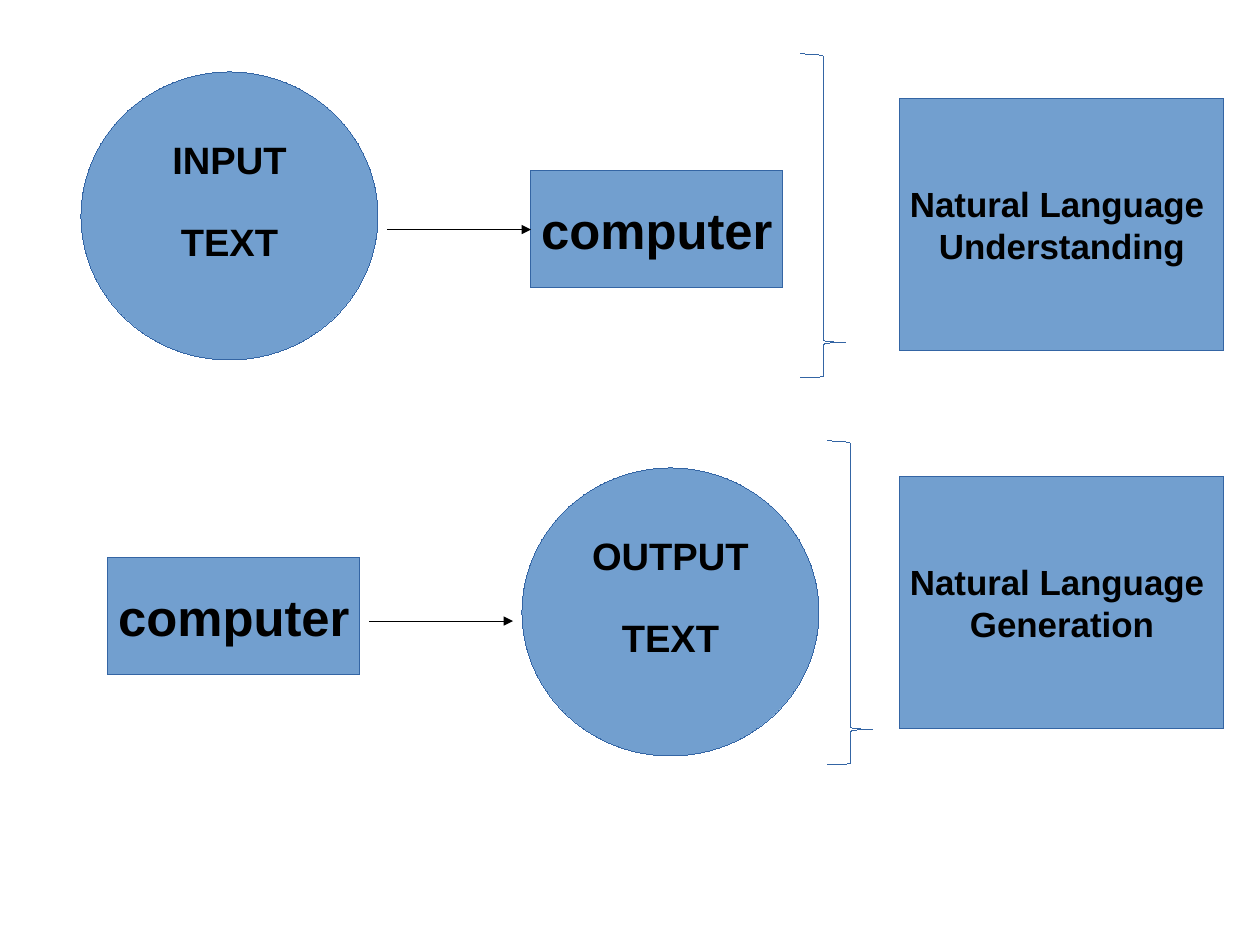
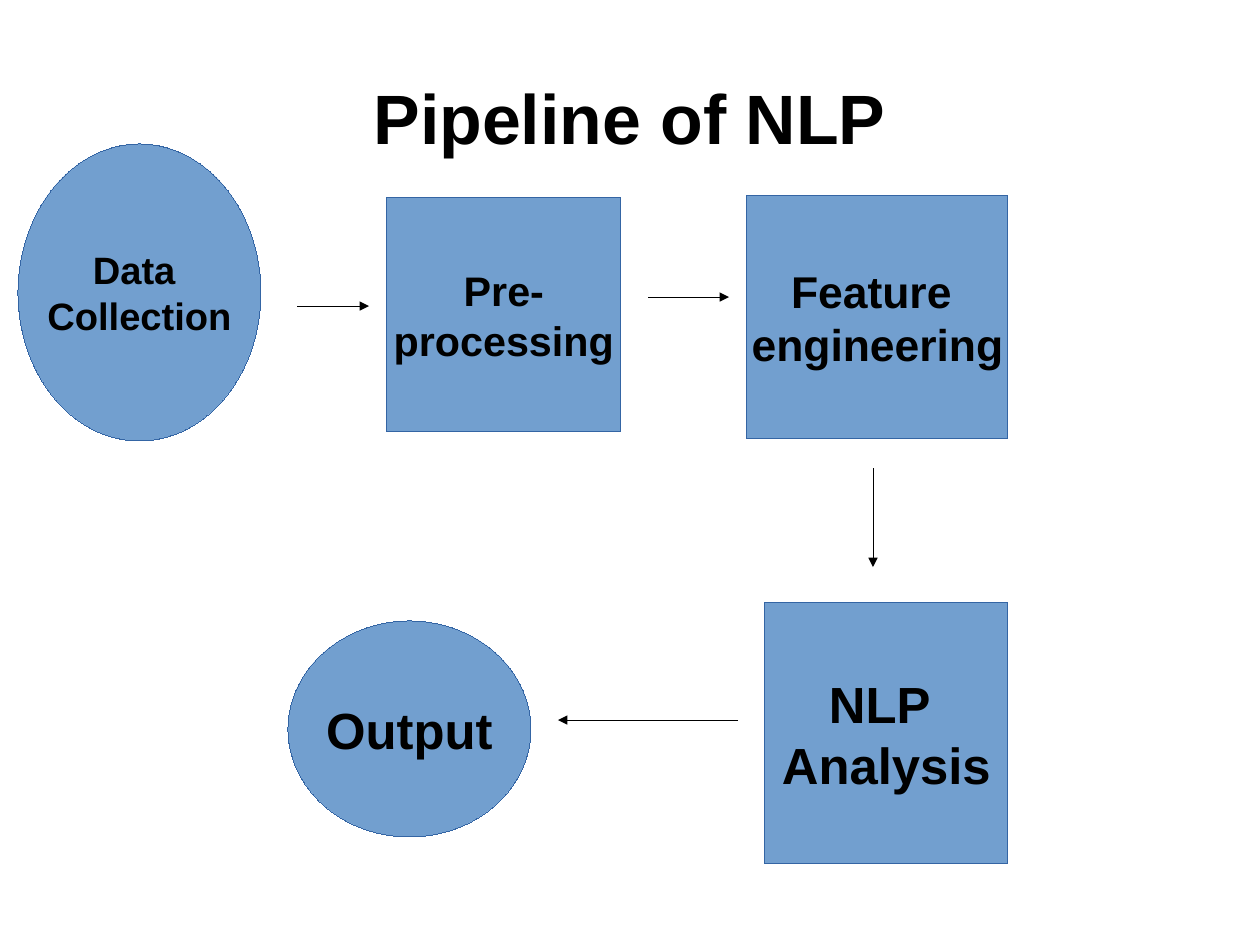
from dataclasses import dataclass

from lxml import etree
from pptx import Presentation
from pptx.dml.color import RGBColor
from pptx.enum.shapes import MSO_CONNECTOR, MSO_SHAPE
from pptx.enum.text import MSO_ANCHOR, MSO_AUTO_SIZE, PP_ALIGN
from pptx.oxml.ns import qn
from pptx.util import Mm, Pt

RECTANGLE = MSO_SHAPE.RECTANGLE
ELLIPSE = MSO_SHAPE.OVAL
BRACE = MSO_SHAPE.RIGHT_BRACE
STRAIGHT = MSO_CONNECTOR.STRAIGHT
MIDDLE = MSO_ANCHOR.MIDDLE
CENTER = PP_ALIGN.CENTER
NO_AUTOFIT = MSO_AUTO_SIZE.NONE

CELL = 2
COLUMNS, ROWS = 140, 105
TITLE_ONLY, BLANK = 5, 6
LEFT_SIDE = 1


@dataclass(frozen=True)
class Theme:
    font: str = "Arial"
    ink: RGBColor = RGBColor(0, 0, 0)
    fill: RGBColor = RGBColor(0x72, 0x9F, 0xCF)
    outline: RGBColor = RGBColor(0x34, 0x65, 0xA4)
    title: int = 44
    large: int = 32
    feature: int = 28
    step: int = 26
    medium: int = 24
    small: int = 22
    word_gap: int = 23


THEME = Theme()


def grid(*cells):
    return [Mm(cell * CELL) for cell in cells]


def drop_style(item):
    item._element.remove(item._element.find(qn("p:style")))


def write_text(frame, text, size, gap=0, wrap=False):
    frame.word_wrap = wrap
    frame.auto_size = NO_AUTOFIT
    frame.vertical_anchor = MIDDLE
    for index, line in enumerate(text.split("\n")):
        para = frame.add_paragraph() if index else frame.paragraphs[0]
        para.alignment = CENTER
        para.space_before = Pt(gap if index else 0)
        span = para.add_run()
        span.text = line
        span.font.name = THEME.font
        span.font.size = Pt(size)
        span.font.bold = True
        span.font.color.rgb = THEME.ink


def add_outlined(page, kind, area):
    shape = page.shapes.add_shape(kind, *grid(*area))
    drop_style(shape)
    shape.shadow.inherit = False
    shape.line.color.rgb = THEME.outline
    return shape


def add_node(page, kind, area, text, size, gap=0):
    node = add_outlined(page, kind, area)
    node.fill.solid()
    node.fill.fore_color.rgb = THEME.fill
    write_text(node.text_frame, text, size, gap)
    return node


def add_text_circle(page, left, top, text):
    circle = add_node(page, ELLIPSE, (left, top, 33, 32), text,
                      THEME.medium, THEME.word_gap)
    circle.text_frame.margin_bottom = Pt(THEME.word_gap)


def add_computer(page, left, top):
    return add_node(page, RECTANGLE, (left, top, 28, 13), "computer", THEME.large)


def add_task(page, brace_left, brace_top, box_top, text):
    brace = add_outlined(page, BRACE, (brace_left, brace_top, 5, 36))
    brace.fill.background()
    brace.adjustments[0] = 0.05
    brace.adjustments[1] = 0.89
    add_node(page, RECTANGLE, (100, box_top, 36, 28), text, THEME.small)


def add_arrow(page, start, end, target=None):
    arrow = page.shapes.add_connector(STRAIGHT, *grid(*start, *end))
    drop_style(arrow)
    arrow.line.color.rgb = THEME.ink
    line = arrow.line._get_or_add_ln()
    etree.SubElement(line, qn("a:tailEnd"), type="triangle")
    etree.SubElement(arrow._element.spPr, qn("a:effectLst"))
    if target is not None:
        arrow.end_connect(target, LEFT_SIDE)


def add_title(page, text):
    title = page.shapes.title
    title.left, title.top, title.width, title.height = grid(7, 4.2, 126, 17.5)
    frame = title.text_frame
    frame.margin_left = frame.margin_right = 0
    frame.margin_top = frame.margin_bottom = 0
    write_text(frame, text, THEME.title, wrap=True)


def build_tasks(deck):
    page = deck.slides.add_slide(deck.slide_layouts[BLANK])

    add_text_circle(page, 9, 8, "INPUT\nTEXT")
    computer = add_computer(page, 59, 19)
    add_arrow(page, (43, 25.5), (59, 25.5), computer)
    add_task(page, 89, 6, 11, "Natural Language \nUnderstanding")

    add_computer(page, 12, 62)
    add_arrow(page, (41, 69), (57, 69))
    add_text_circle(page, 58, 52, "OUTPUT\nTEXT")
    add_task(page, 92, 49, 53, "Natural Language \nGeneration")


def build_pipeline(deck):
    page = deck.slides.add_slide(deck.slide_layouts[TITLE_ONLY])
    add_title(page, "Pipeline of NLP")
    steps = [
        (RECTANGLE, (43, 22, 26, 26), "Pre-\nprocessing", THEME.step),
        (RECTANGLE, (83, 21.75, 29, 27), "Feature \nengineering", THEME.feature),
        (ELLIPSE, (2, 16, 27, 33), "Data \nCollection", THEME.medium),
        (RECTANGLE, (85, 67, 27, 29), "NLP \nAnalysis", THEME.large),
        (ELLIPSE, (32, 69, 27, 24), "Output", THEME.large),
    ]
    for step in steps:
        add_node(page, *step)
    arrows = [
        ((33, 34), (41, 34)),
        ((72, 33), (81, 33)),
        ((97, 52), (97, 63)),
        ((82, 80), (62, 80)),
    ]
    for start, end in arrows:
        add_arrow(page, start, end)


def main():
    deck = Presentation()
    deck.slide_width, deck.slide_height = grid(COLUMNS, ROWS)
    build_tasks(deck)
    build_pipeline(deck)
    deck.save("out.pptx")


if __name__ == "__main__":
    main()
